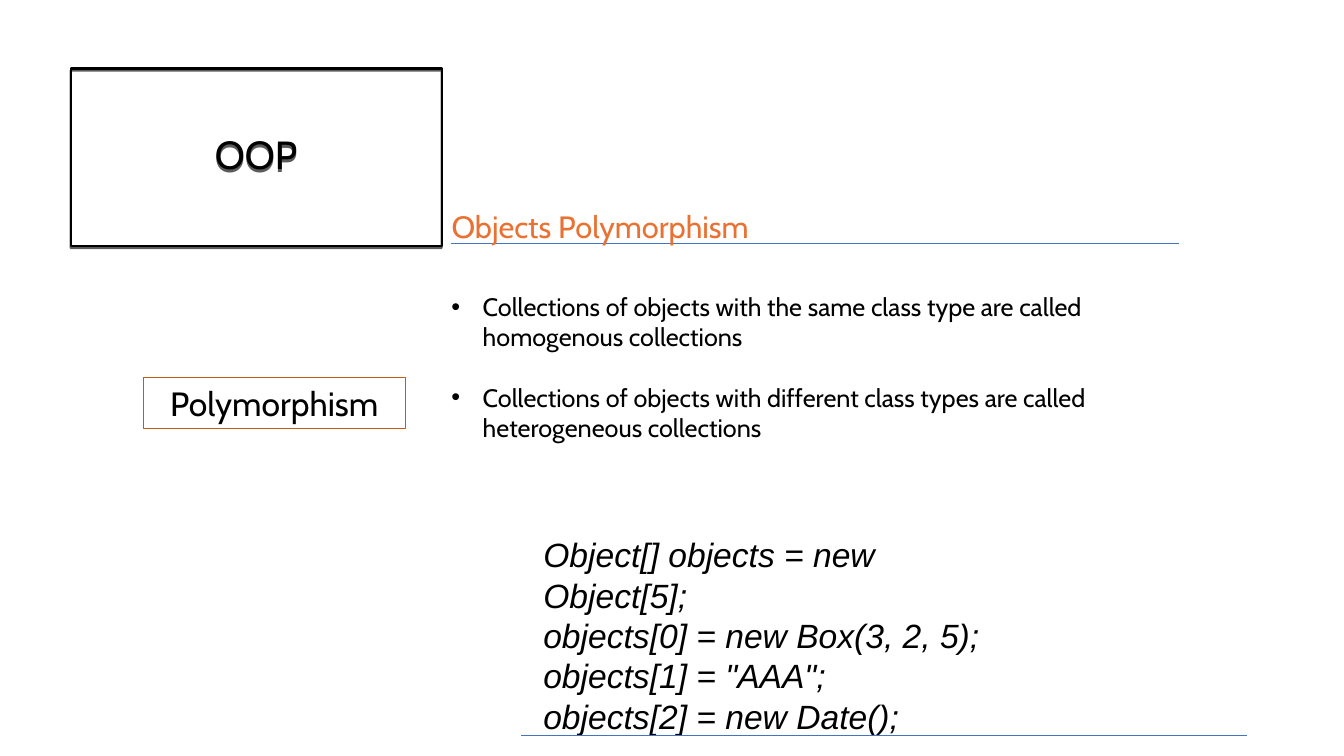
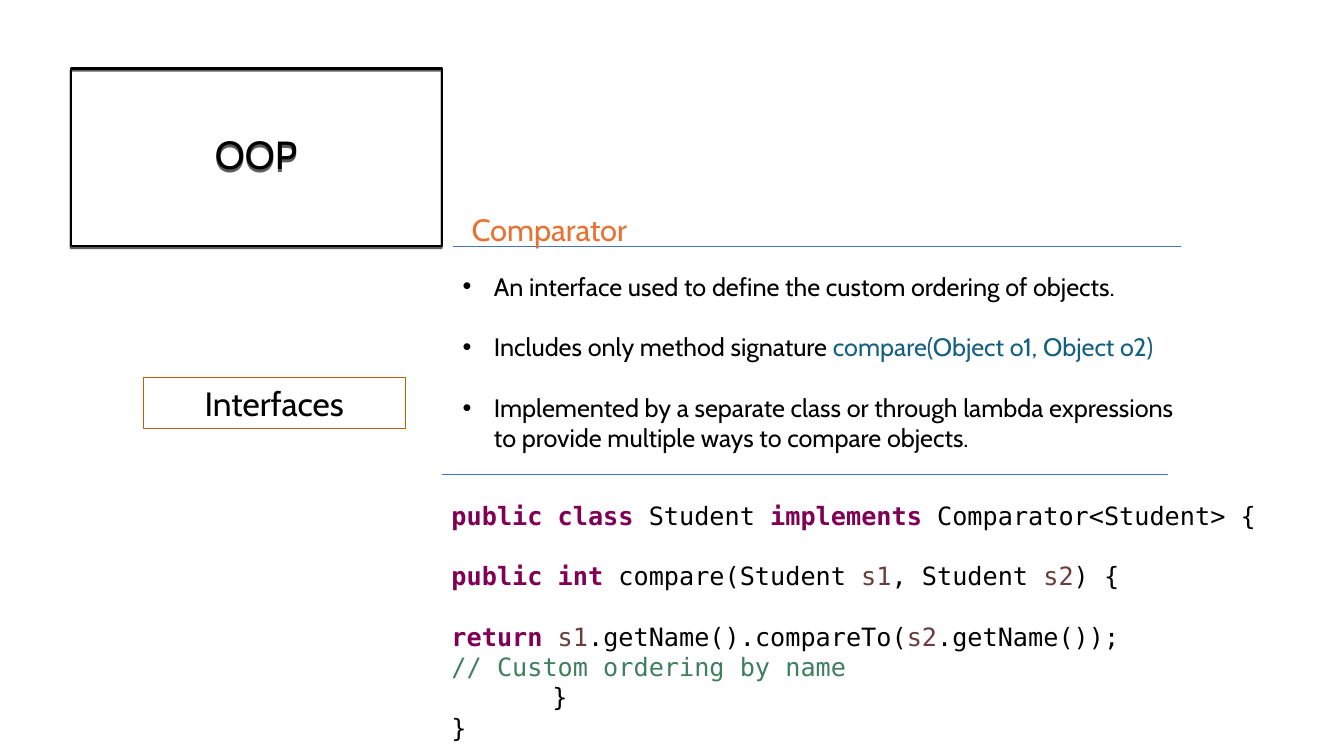
from dataclasses import dataclass
from lxml import etree
from pptx import Presentation
from pptx import util as u
from pptx.dml.color import RGBColor
from pptx.enum import shapes, text
from pptx.oxml import ns

IN = u.Inches


@dataclass(frozen=True)
class Theme:
    ink: str = "000000"
    accent: str = "E97132"
    frame: str = "C55A11"
    rule: str = "4472C4"
    call: str = "156082"
    word: str = "7F0055"
    name: str = "6A3E3E"
    note: str = "3F7F5F"
    sans: str = "Cabin"
    plain: str = "Arial"
    mono: str = "DejaVu Sans Mono"
    title: int = 28
    label: int = 24
    head: int = 22
    body: int = 18
    gap: float = 21.7


T = Theme()
FIT = text.MSO_AUTO_SIZE.SHAPE_TO_FIT_TEXT
MID = text.PP_ALIGN.CENTER


def assign(obj, vals):
    for key, val in vals.items():
        setattr(obj, key, val)


def node(par, tag, **atts):
    return etree.SubElement(par, ns.qn(tag), atts)


def write(par, runs, size, font, **fmt):
    """Add runs given as (text, colour); keywords of code are bold."""
    for words, hue in runs:
        run = par.add_run()
        run.text = words
        assign(run.font, dict(size=u.Pt(size), name=font, bold=hue == T.word, **fmt))
        run.font.color.rgb = RGBColor.from_string(hue)


def indent(par, left, hang=0):
    props = par._p.get_or_add_pPr()
    props.set("marL", str(IN(left)))
    props.set("indent", str(IN(-hang)))
    return props


def outline(shape, hue, width):
    shape.line.color.rgb = RGBColor.from_string(hue)
    shape.line.width = u.Pt(width)


def panel(slide, box):
    frame = slide.shapes.add_textbox(*map(IN, box)).text_frame
    assign(frame, dict(word_wrap=True, auto_size=FIT))
    return frame


def lines(frame, rows):
    """Yield a paragraph with each row, using the first one already there."""
    for i, row in enumerate(rows):
        yield (frame.add_paragraph() if i else frame.paragraphs[0]), row


def rule(slide, x, y, width):
    line = slide.shapes.add_connector(
        shapes.MSO_CONNECTOR.STRAIGHT, IN(x), IN(y), IN(x + width), IN(y))
    outline(line, T.rule, 0.5)
    node(line._element.spPr, "a:effectLst")


def title(slide, words, box):
    shape = slide.shapes.title
    assign(shape, dict(zip(("left", "top", "width", "height"), map(IN, box))))
    shape.fill.background()
    outline(shape, T.ink, 1.5)
    fx = node(shape._element.spPr, "a:effectLst")
    shade = node(fx, "a:outerShdw", dist=str(u.Pt(1.5)), dir="5400000",
                 algn="ctr", rotWithShape="0")
    node(node(shade, "a:srgbClr", val=T.ink), "a:alpha", val="63000")
    frame = shape.text_frame
    assign(frame, dict(word_wrap=True, auto_size=text.MSO_AUTO_SIZE.NONE,
                       vertical_anchor=text.MSO_ANCHOR.MIDDLE))
    par = frame.paragraphs[0]
    assign(par, dict(alignment=MID, line_spacing=0.9))
    write(par, [(words, T.ink)], T.title, T.sans)


def label(slide, words, box):
    shape = slide.shapes.add_shape(shapes.MSO_SHAPE.RECTANGLE, *map(IN, box))
    shape.shadow.inherit = False
    shape.fill.background()
    outline(shape, T.frame, 0.75)
    assign(shape.text_frame, dict(word_wrap=True, auto_size=FIT,
                                  vertical_anchor=text.MSO_ANCHOR.TOP))
    par = shape.text_frame.paragraphs[0]
    par.alignment = MID
    write(par, [(words, T.ink)], T.label, T.sans)


def heading(slide, words, box, shift):
    """Place a heading and its rule, which starts shift to the right."""
    x, y = box[:2]
    rule(slide, x + shift, y + 0.4, 7.22)
    write(panel(slide, box).paragraphs[0], [(words, T.accent)], T.head, T.sans)


def bullets(slide, rows, box):
    frame = panel(slide, box)
    for par, runs in lines(frame, rows):
        props = indent(par, 0.31, 0.31)
        if runs is not rows[0]:
            par.space_before = u.Pt(T.gap)
        node(props, "a:buFont", typeface=T.plain)
        node(props, "a:buChar", char="•")
        write(par, runs, T.body, T.sans)


def snippet(slide, rows, box):
    for par, row in lines(panel(slide, box), rows):
        write(par, [(row, T.ink)], T.label, T.plain, italic=True)


def listing(slide, rows, box):
    """Rows are (space before, left indent, runs)."""
    for par, (space, left, runs) in lines(panel(slide, box), rows):
        par.space_before = u.Pt(space)
        indent(par, left)
        write(par, runs, T.body, T.mono)


def topic(deck, name):
    slide = deck.slides.add_slide(deck.slide_layouts[5])
    title(slide, "OOP", (0.7, 0.68, 3.68, 1.76))
    label(slide, name, (1.42, 3.75, 2.6, 0.5))
    return slide


def polymorphism(deck):
    slide = topic(deck, "Polymorphism")
    heading(slide, "Objects Polymorphism", (4.38, 2.01, 3.18, 0.47), 0.09)
    bullets(slide, [
        [("Collections of objects with the same class type are called "
          "homogenous collections", T.ink)],
        [("Collections of objects with different class types are called "
          "heterogeneous collections", T.ink)],
    ], (4.38, 2.84, 7.57, 1.62))
    snippet(slide, [
        "Object[] objects = new Object[5];",
        "objects[0] = new Box(3, 2, 5);",
        'objects[1] = "AAA";',
        "objects[2] = new Date();",
    ], (5.29, 5.25, 4.92, 1.72))
    rule(slide, 5.17, 7.3, 7.2)


def interfaces(deck):
    slide = topic(deck, "Interfaces")
    heading(slide, "Comparator", (4.58, 2.04, 6.67, 0.47), -0.09)
    bullets(slide, [
        [("An interface used to define the custom ordering of objects.", T.ink)],
        [("Includes only method signature ", T.ink),
         ("compare(Object o1, Object o2)", T.call)],
        [("Implemented by a separate class or through lambda expressions "
          "to provide multiple ways to compare objects.", T.ink)],
    ], (4.49, 2.64, 7.31, 1.92))
    rule(slide, 4.38, 4.71, 7.2)
    listing(slide, [
        (0, 0, [("public", T.word), (" ", T.ink), ("class", T.word),
                (" Student ", T.ink), ("implements", T.word),
                (" Comparator<Student> {", T.ink)]),
        (T.gap, 0, [("public", T.word), (" ", T.ink), ("int", T.word),
                    (" compare(Student ", T.ink), ("s1", T.name),
                    (", Student ", T.ink), ("s2", T.name), (") {", T.ink)]),
        (T.gap, 0, [("return", T.word), (" ", T.ink), ("s1", T.name),
                    (".getName().compareTo(", T.ink), ("s2", T.name),
                    (".getName());", T.ink)]),
        (0, 0, [("// Custom ordering by name", T.note)]),
        (0, 1, [("}", T.ink)]),
        (0, 0, [("}", T.ink)]),
    ], (4.38, 4.91, 8.54, 2.52))


def main():
    deck = Presentation()
    assign(deck, dict(slide_width=IN(13.33), slide_height=IN(7.5)))
    polymorphism(deck)
    interfaces(deck)
    deck.save("out.pptx")


if __name__ == "__main__":
    main()
